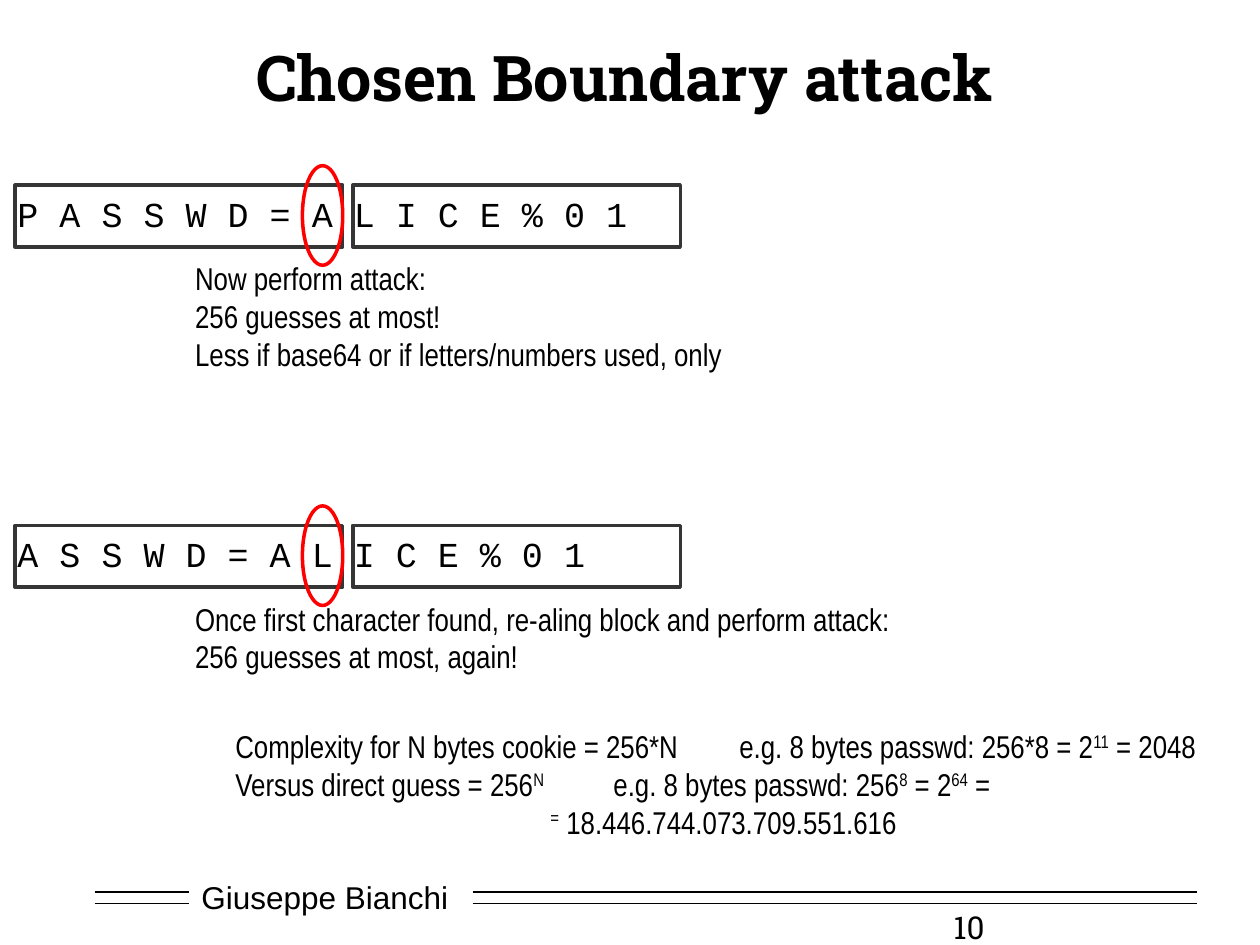
from dataclasses import dataclass

from lxml.etree import SubElement
from pptx import Presentation
from pptx.dml.color import RGBColor
from pptx.enum.shapes import MSO_CONNECTOR as Connector, MSO_SHAPE as Shape
from pptx.enum.text import MSO_ANCHOR as Anchor, MSO_AUTO_SIZE as AutoSize, PP_ALIGN as Align
from pptx.oxml.ns import qn
from pptx.util import Inches, Pt


@dataclass(frozen=True)
class Theme:
    """Colours, fonts and type sizes of the slide."""
    ink: str = "000000"
    paper: str = "FFFFFF"
    block: str = "353535"
    mark: str = "FF0000"
    heading_font: str = "Roboto Slab"
    body_font: str = "Arial Narrow"
    code_font: str = "Courier New"
    footer_font: str = "Arial"
    title_size: int = 36
    code_size: int = 20
    body_size: int = 18
    thin: int = 1
    thick: int = 2


THEME = Theme()
COLUMNS, ROWS = 100, 75
CELL = Inches(0.1)


def grid(*cells):
    """Turn counts of grid columns or rows into lengths."""
    return [round(count * CELL) for count in cells]


def style_run(run, font, size, bold=False):
    """Give one run its font, size and colour."""
    run.font.name, run.font.size, run.font.bold = font, Pt(size), bold
    run.font.color.rgb = RGBColor.from_string(THEME.ink)


def add_text(slide, box, lines, font=THEME.body_font, size=THEME.body_size,
             bold=False, align=Align.LEFT, anchor=Anchor.TOP, wrap=False):
    """Add a text box; every second part of a line, split at '^', is superscript."""
    shape = slide.shapes.add_textbox(*grid(*box))
    frame = shape.text_frame
    frame.word_wrap, frame.vertical_anchor = wrap, anchor
    frame.auto_size = AutoSize.NONE if wrap else AutoSize.SHAPE_TO_FIT_TEXT
    for index, line in enumerate(lines):
        paragraph = frame.add_paragraph() if index else frame.paragraphs[0]
        paragraph.alignment = align
        for part, text in enumerate(line.split("^")):
            if not text:
                continue
            run = paragraph.add_run()
            run.text = text
            style_run(run, font, size, bold)
            if part % 2:
                run.font._element.set("baseline", "30000")
    return shape


def add_outline(slide, kind, box, color):
    """Add an unfilled preset shape."""
    shape = slide.shapes.add_shape(kind, *grid(*box))
    shape.shadow.inherit = False
    shape.fill.background()
    shape.line.color.rgb = RGBColor.from_string(color)
    shape.line.width = Pt(THEME.thick)


def add_rule(slide, left, right, row):
    """Add a thin horizontal line."""
    line = slide.shapes.add_connector(Connector.STRAIGHT, *grid(left, row, right, row))
    line.line.color.rgb = RGBColor.from_string(THEME.ink)
    line.line.width = Pt(THEME.thin)
    SubElement(line._element.spPr, qn("a:effectLst"))


def add_footer(slide, author, number):
    """Add the author, the double rule and the page number."""
    name = add_text(slide, (15, 69.2, 21.7, 4), [author], THEME.footer_font,
                    anchor=Anchor.MIDDLE, wrap=True)
    name.fill.solid()
    name.fill.fore_color.rgb = RGBColor.from_string(THEME.paper)
    for row in (70.8, 71.7):
        for left, right in ((7.5, 15), (37.5, 95)):
            add_rule(slide, left, right, row)
    add_text(slide, (74.7, 71.6, 23.3, 2.9), [number], THEME.heading_font, wrap=True)


def add_blocks(slide, row, code, code_width):
    """Add the characters and the two cipher blocks around them."""
    add_text(slide, (0.4, row + 0.1, code_width, 4.4), [code],
             THEME.code_font, THEME.code_size)
    for left in (1.2, 28):
        add_outline(slide, Shape.RECTANGLE, (left, row, 26, 4.9), THEME.block)


def main():
    """Build and save the slide."""
    presentation = Presentation()
    presentation.slide_width, presentation.slide_height = grid(COLUMNS, ROWS)
    slide = presentation.slides.add_slide(presentation.slide_layouts[6])

    add_footer(slide, "Giuseppe Bianchi ", "10")
    add_text(slide, (7.5, 2.5, 84.2, 7.1), ["Chosen Boundary attack"],
             THEME.heading_font, THEME.title_size, True, Align.CENTER, Anchor.MIDDLE, True)

    steps = [
        (14.7, "P A S S W D = A L I C E % 0 1", 50.8, (49.1, 10.1),
         ["Now perform attack: ", "256 guesses at most! ",
          "Less if base64 or if letters/numbers used, only"]),
        (41.7, "A S S W D = A L I C E % 0 1", 47.5, (65.3, 7.1),
         ["Once first character found, re-aling block and perform attack: ",
          "256 guesses at most, again! "]),
    ]
    for row, code, code_width, note_size, note in steps:
        add_blocks(slide, row, code, code_width)
        add_text(slide, (14.5, row + 5.4, *note_size), note)

    add_text(slide, (17.7, 57.2, 79.3, 4), [
        "Complexity for N bytes cookie = 256*N \te.g. 8 bytes passwd: 256*8 = 2^11^ = 2048"])
    add_text(slide, (17.7, 60.2, 80.5, 7.1), [
        "Versus direct guess = 256^N \t\t^e.g. 8 bytes passwd: 256^8^ = 2^64^ =",
        "^\t\t\t\t\t=^ 18.446.744.073.709.551.616"])

    for row, *_ in steps:
        add_outline(slide, Shape.OVAL, (24, row - 1.55, 3.2, 7.9), THEME.mark)

    presentation.save("out.pptx")


main()
